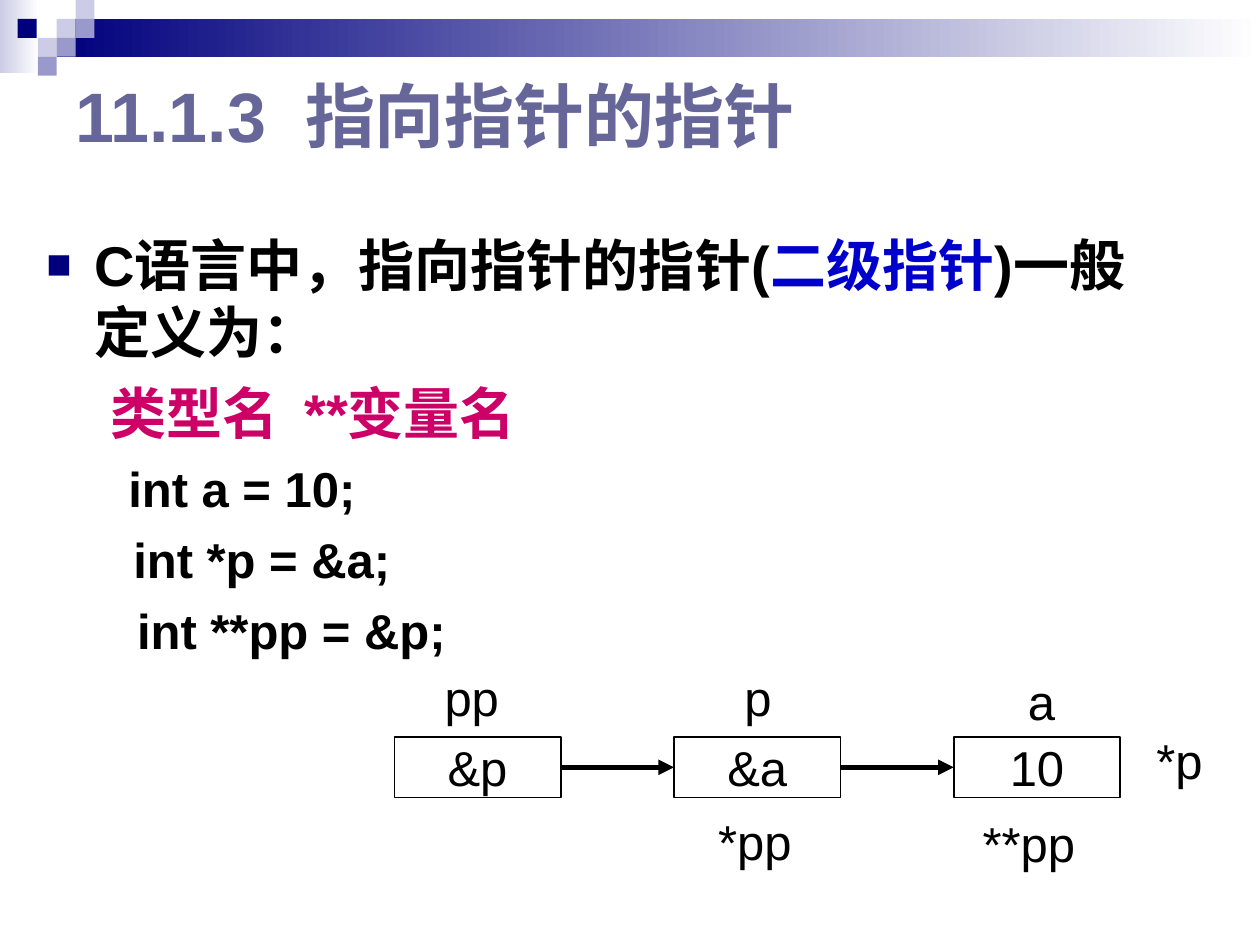
from lxml.etree import SubElement
from pptx import Presentation
from pptx.dml.color import RGBColor
from pptx.enum.shapes import MSO_CONNECTOR, MSO_SHAPE
from pptx.enum.text import MSO_ANCHOR, MSO_AUTO_SIZE, PP_ALIGN
from pptx.oxml.ns import qn
from pptx.util import Inches, Pt

NAVY, LILAC, VIOLET = "00007D", "CCCCE6", "9999CC"
BLACK, WHITE, BLUE, PINK, SLATE = "000000", "FFFFFF", "0000CC", "CC0066", "666699"


def rgb(value):
    """Return the colour of a hex string."""
    return RGBColor.from_string(value)


def add_run(p, text, size, color=BLACK, bold=False):
    """Append one formatted run."""
    r = p.add_run()
    r.text = text
    r.font.name = "Arial"
    r.font.size = Pt(size)
    r.font.bold = bold
    r.font.color.rgb = rgb(color)


def add_rect(s, x, y, w, h, color=None, end=None):
    """Add a rectangle that is empty, solid or a gradient from color to end."""
    sp = s.shapes.add_shape(MSO_SHAPE.RECTANGLE, Inches(x), Inches(y), Inches(w), Inches(h))
    sp.shadow.inherit = False
    sp.line.fill.background()
    if end:
        sp.fill.gradient()
        sp.fill.gradient_angle = 0
        for stop, value in zip(sp.fill.gradient_stops, (color, end)):
            stop.color.rgb = rgb(value)
    elif color:
        sp.fill.solid()
        sp.fill.fore_color.rgb = rgb(color)
    else:
        sp.fill.background()
    return sp


def add_banner(s):
    """Add the gradient band and the small squares at the top."""
    add_rect(s, 0, 0, 0.31, 0.58, LILAC, WHITE)
    add_rect(s, 0.45, 0.15, 9.55, 0.3, NAVY, WHITE)
    squares = [(0.45, 0.15, LILAC), (0.6, 0, LILAC), (0.6, 0.15, VIOLET),
               (0.3, 0.3, LILAC), (0.14, 0.15, NAVY), (0.45, 0.3, VIOLET),
               (0.3, 0.45, VIOLET)]
    for x, y, color in squares:
        add_rect(s, x, y, 0.15, 0.15, color)


def add_title(s, text):
    """Place and fill the title placeholder."""
    sp = s.shapes.title
    sp.left, sp.top, sp.width, sp.height = Inches(0.5), Inches(0.5), Inches(7.1), Inches(0.81)
    tf = sp.text_frame
    tf.vertical_anchor = MSO_ANCHOR.MIDDLE
    p = tf.paragraphs[0]
    p.alignment = PP_ALIGN.LEFT
    add_run(p, text, 40, SLATE, True)


def set_indent(p, margin, hanging=0):
    """Set the left margin and hanging indent of a paragraph."""
    pPr = p._p.get_or_add_pPr()
    pPr.set("marL", str(Inches(margin)))
    pPr.set("indent", str(-Inches(hanging)))
    return pPr


def add_bullet(p, margin):
    """Give a paragraph a small navy square bullet."""
    pPr = set_indent(p, margin, margin)
    SubElement(SubElement(pPr, qn("a:buClr")), qn("a:srgbClr"), val=NAVY)
    SubElement(pPr, qn("a:buSzPct"), val="75000")
    SubElement(pPr, qn("a:buFont"), typeface="Arial")
    SubElement(pPr, qn("a:buChar"), char="■")


def add_body(s):
    """Add the definition and its code lines."""
    tf = s.shapes.add_textbox(Inches(0.27), Inches(1.78), Inches(8.98), Inches(4.88)).text_frame
    tf.word_wrap = True
    p = tf.paragraphs[0]
    add_bullet(p, 0.38)
    for text, color in (("C语言中，指向指针的指针(", BLACK), ("二级指针", BLUE),
                        (")一般定义为：", BLACK)):
        add_run(p, text, 32, color, True)
    lines = [("类型名  **变量名", 0.51, 8, 32, PINK), ("int a = 10;", 0.65, 7, 28, BLACK),
             ("int *p = &a;", 0.69, 7, 28, BLACK), ("int **pp = &p;", 0.72, 7, 28, BLACK)]
    for text, margin, space, size, color in lines:
        p = tf.add_paragraph()
        set_indent(p, margin)
        p.space_before = Pt(space)
        add_run(p, text, size, color, True)


def add_cell(s, x, y, w, h, text):
    """Add an outlined memory cell with its value."""
    sp = add_rect(s, x, y, w, h)
    sp.line.color.rgb = rgb(BLACK)
    sp.line.width = Pt(1)
    tf = sp.text_frame
    tf.word_wrap = False
    tf.vertical_anchor = MSO_ANCHOR.MIDDLE
    p = tf.paragraphs[0]
    p.alignment = PP_ALIGN.CENTER
    add_run(p, text, 28)


def add_label(s, x, y, w, text):
    """Add a one-line label whose box grows with its text."""
    tf = s.shapes.add_textbox(Inches(x), Inches(y), Inches(w), Inches(0.57)).text_frame
    tf.word_wrap = False
    tf.auto_size = MSO_AUTO_SIZE.SHAPE_TO_FIT_TEXT
    add_run(tf.paragraphs[0], text, 28)


def add_arrow(s, x1, x2, y):
    """Add a horizontal arrow."""
    cn = s.shapes.add_connector(MSO_CONNECTOR.STRAIGHT, Inches(x1), Inches(y), Inches(x2), Inches(y))
    cn.line.color.rgb = rgb(BLACK)
    cn.line.width = Pt(3)
    SubElement(cn.line._get_or_add_ln(), qn("a:tailEnd"), type="triangle")
    SubElement(cn._element.spPr, qn("a:effectLst"))


def add_diagram(s):
    """Add the chain of cells, arrows and labels."""
    left, top, w, h, step = 3.13, 5.85, 1.32, 0.48, 2.22
    values = ["&p", "&a", "10"]
    for i, value in enumerate(values):
        x = left + i * step
        add_cell(s, x, top, w, h, value)
        if i < len(values) - 1:
            add_arrow(s, x + w, x + step, top + h / 2)
    for x, y, width, text in ((3.43, 5.25, 0.63, "pp"), (5.81, 5.25, 0.41, "p"),
                              (8.06, 5.28, 0.41, "a"), (9.08, 5.75, 0.58, "*p"),
                              (5.6, 6.39, 0.78, "*pp"), (7.7, 6.41, 0.94, "**pp")):
        add_label(s, x, y, width, text)


def main():
    """Build the slide and save it."""
    prs = Presentation()
    prs.slide_width, prs.slide_height = Inches(10), Inches(7.5)
    s = prs.slides.add_slide(prs.slide_layouts[5])
    add_banner(s)
    add_title(s, "11.1.3  指向指针的指针")
    add_body(s)
    add_diagram(s)
    prs.save("out.pptx")


if __name__ == "__main__":
    main()
